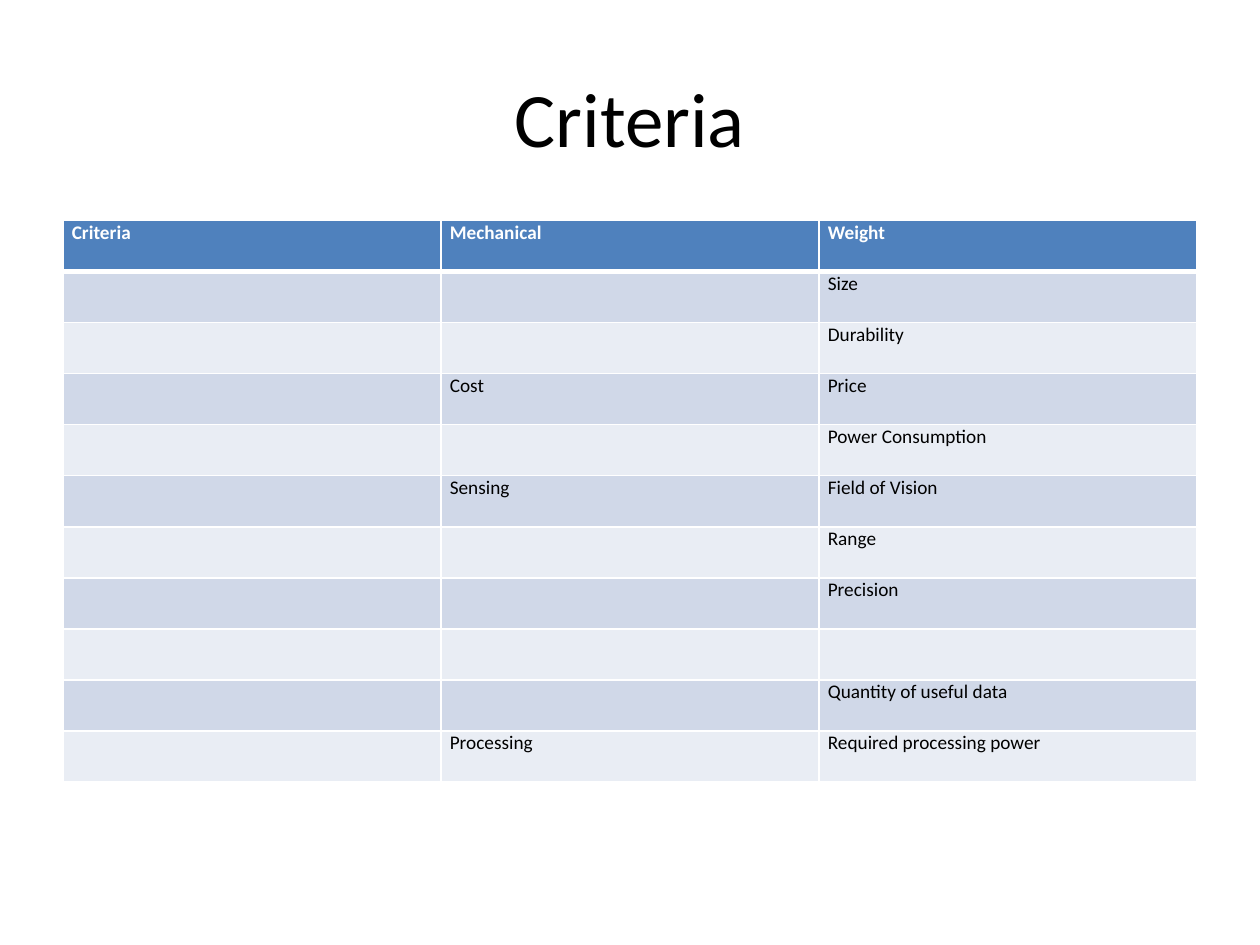
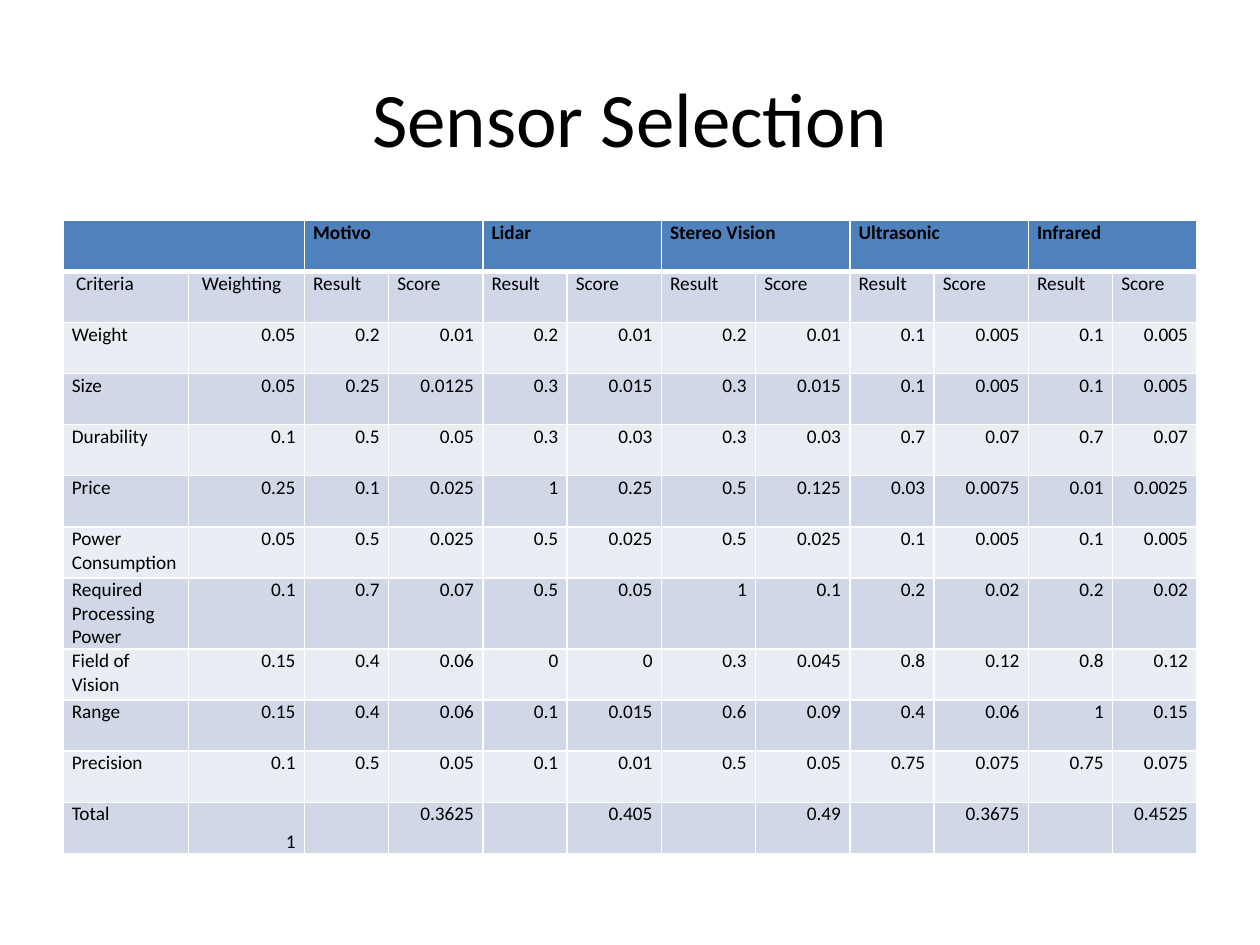
import pptx
import pptx.dml.color
import pptx.enum.text
import pptx.oxml
import pptx.oxml.ns
import pptx.util
import lxml.etree

Inches, Pt = pptx.util.Inches, pptx.util.Pt
ALIGN, ANCHOR = pptx.enum.text.PP_ALIGN, pptx.enum.text.MSO_ANCHOR
FONT = "Calibri"
BLACK, WHITE, BLUE = "000000", "FFFFFF", "4F81BD"
BANDS = ("D0D8E8", "E9EDF4")
TITLE_BOX = (0.5, 0.3, 9, 1.25)
LEFT, TOP, WIDTH, ROW = 0.5, 1.75, 9, 4.46 / 11

CRITERIA = [
    ("Criteria", "Mechanical", "Weight"),
    ("", "", "Size"),
    ("", "", "Durability"),
    ("", "Cost", "Price"),
    ("", "", "Power Consumption"),
    ("", "Sensing", "Field of Vision"),
    ("", "", "Range"),
    ("", "", "Precision"),
    ("", "", ""),
    ("", "", "Quantity of useful data"),
    ("", "Processing", "Required processing power"),
]
SENSORS = ("Motivo", "Lidar", "Stereo Vision", "Ultrasonic", "Infrared")
RESULTS = [
    ("Weight", 0.05, (0.2, 0.2, 0.2, 0.1, 0.1)),
    ("Size", 0.05, (0.25, 0.3, 0.3, 0.1, 0.1)),
    ("Durability", 0.1, (0.5, 0.3, 0.3, 0.7, 0.7)),
    ("Price", 0.25, (0.1, 1, 0.5, 0.03, 0.01)),
    ("Power Consumption", 0.05, (0.5, 0.5, 0.5, 0.1, 0.1)),
    ("Required Processing Power", 0.1, (0.7, 0.5, 1, 0.2, 0.2)),
    ("Field of Vision", 0.15, (0.4, 0, 0.3, 0.8, 0.8)),
    ("Range", 0.15, (0.4, 0.1, 0.6, 0.4, 1)),
    ("Precision", 0.1, (0.5, 0.1, 0.5, 0.75, 0.75)),
]
SPANS = (1, 0.92, 0.67, 0.75, 0.67, 0.75, 0.75, 0.75, 0.67, 0.75, 0.67, 0.67)


def color(code):
    """Turn a hex string into a colour."""
    return pptx.dml.color.RGBColor.from_string(code)


def write(para, text, size, ink, bold=False):
    """Add one formatted run to a paragraph."""
    run = para.add_run()
    run.text = text
    run.font.name, run.font.size, run.font.bold = FONT, Pt(size), bold
    run.font.color.rgb = color(ink)


def border(cell, side, points):
    """Draw one white edge of a cell."""
    qn = pptx.oxml.ns.qn
    line = lxml.etree.SubElement(
        cell._tc.get_or_add_tcPr(), qn(f"a:ln{side}"), w=str(Pt(points)))
    fill = lxml.etree.SubElement(line, qn("a:solidFill"))
    lxml.etree.SubElement(fill, qn("a:srgbClr"), val=WHITE)


def add_page(deck, text):
    """Add a slide with its title."""
    slide = deck.slides.add_slide(deck.slide_layouts[5])
    title = slide.shapes.title
    title.left, title.top, title.width, title.height = map(Inches, TITLE_BOX)
    frame = title.text_frame
    frame.vertical_anchor = ANCHOR.MIDDLE
    para = frame.paragraphs[0]
    para.alignment = ALIGN.CENTER
    write(para, text, 44, BLACK)
    return slide


def fill_cell(cell, row, value, ink):
    """Format one cell and write its text or number."""
    cell.margin_left = cell.margin_right = Inches(0.07)
    cell.margin_top = cell.margin_bottom = 0
    thick = {0: "B", 1: "T"}.get(row)
    for side in "LRTB":
        border(cell, side, 3 if side == thick else 1)
    cell.fill.solid()
    cell.fill.fore_color.rgb = color(BANDS[(row - 1) % 2] if row else BLUE)
    para = cell.text_frame.paragraphs[0]
    if not isinstance(value, str):
        para.alignment = ALIGN.RIGHT
        value = f"{value:.6g}"
    if value:
        write(para, value, 11, BLACK if row else ink, bold=row == 0)


def add_grid(slide, rows, spans, box, ink):
    """Place a banded table, sharing the box width by the column spans."""
    left, top, width, high = box
    grid = slide.shapes.add_table(
        len(rows), len(spans), Inches(left), Inches(top),
        Inches(width), Inches(high * len(rows))).table
    for col, span in zip(grid.columns, spans):
        col.width = Inches(width * span / sum(spans))
    for r, values in enumerate(rows):
        grid.rows[r].height = Inches(high)
        for c, value in enumerate(values):
            fill_cell(grid.cell(r, c), r, value, ink)
    return grid


def score_rows():
    """Work out the scores and totals of every sensor."""
    head, labels = ["", ""], [" Criteria", " Weighting"]
    for name in SENSORS:
        head += [name, ""]
        labels += ["Result", "Score"]
    rows = [head, labels]
    for name, weight, marks in RESULTS:
        row = [name, weight]
        for mark in marks:
            row += [mark, weight * mark]
        rows.append(row)
    total = ["Total", sum(weight for _, weight, _ in RESULTS)]
    for n in range(len(SENSORS)):
        total += ["", sum(weight * marks[n] for _, weight, marks in RESULTS)]
    return rows + [total]


def add_criteria(deck):
    """Build the slide that lists the criteria."""
    slide = add_page(deck, "Criteria")
    add_grid(slide, CRITERIA, (1, 1, 1), (LEFT, TOP, WIDTH, ROW), WHITE)


def add_scores(deck):
    """Build the slide that scores the sensors."""
    slide = add_page(deck, "Sensor Selection")
    rows = score_rows()
    grid = add_grid(slide, rows, SPANS, (LEFT, TOP, WIDTH, ROW), BLACK)
    for c in range(0, len(SPANS), 2):
        grid.cell(0, c).merge(grid.cell(0, c + 1))
    grid.cell(len(rows) - 1, 1).vertical_anchor = ANCHOR.BOTTOM


def main():
    """Build and save the deck."""
    deck = pptx.Presentation()
    deck.slide_width, deck.slide_height = Inches(10), Inches(7.5)
    add_criteria(deck)
    add_scores(deck)
    deck.save("out.pptx")


if __name__ == "__main__":
    main()
